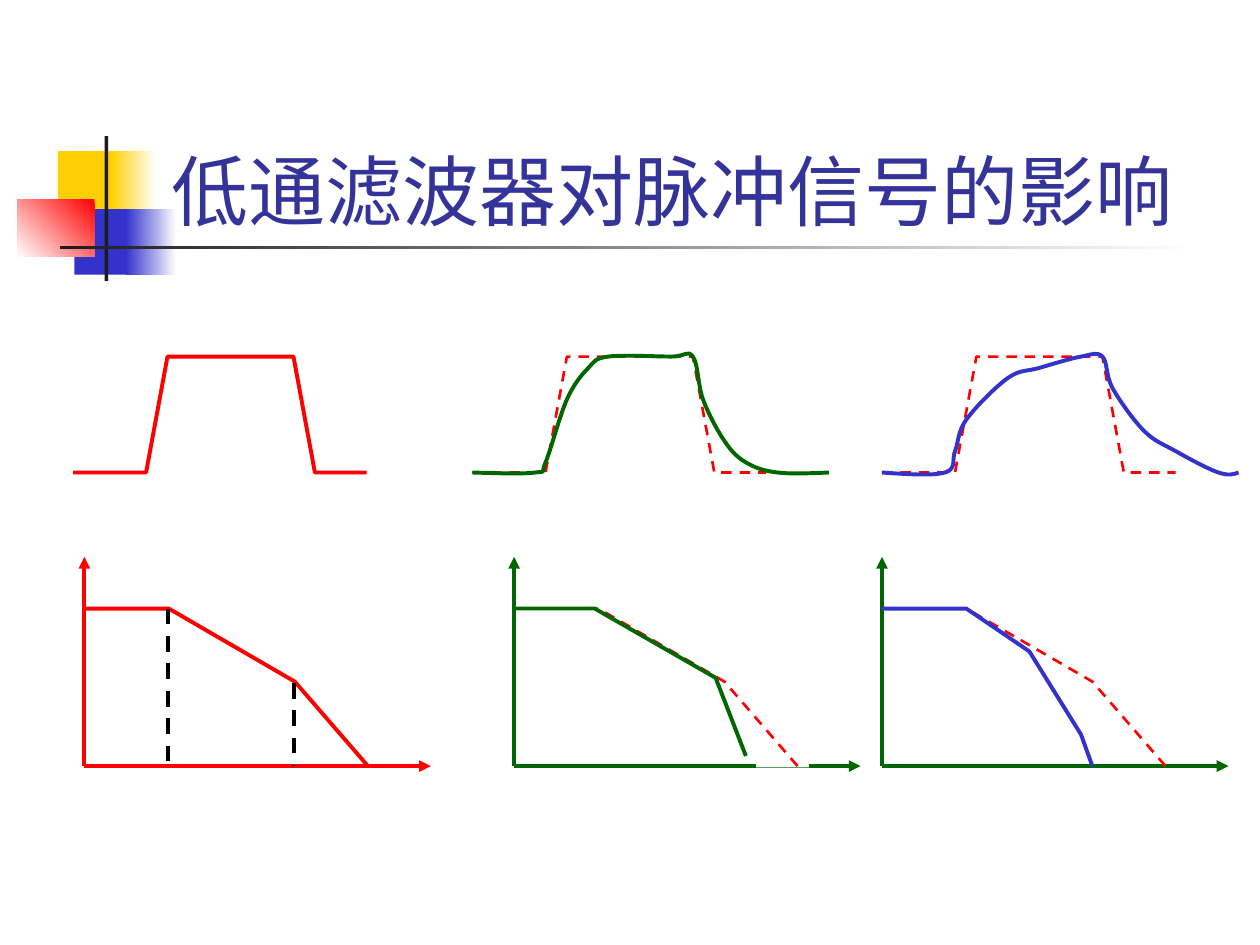
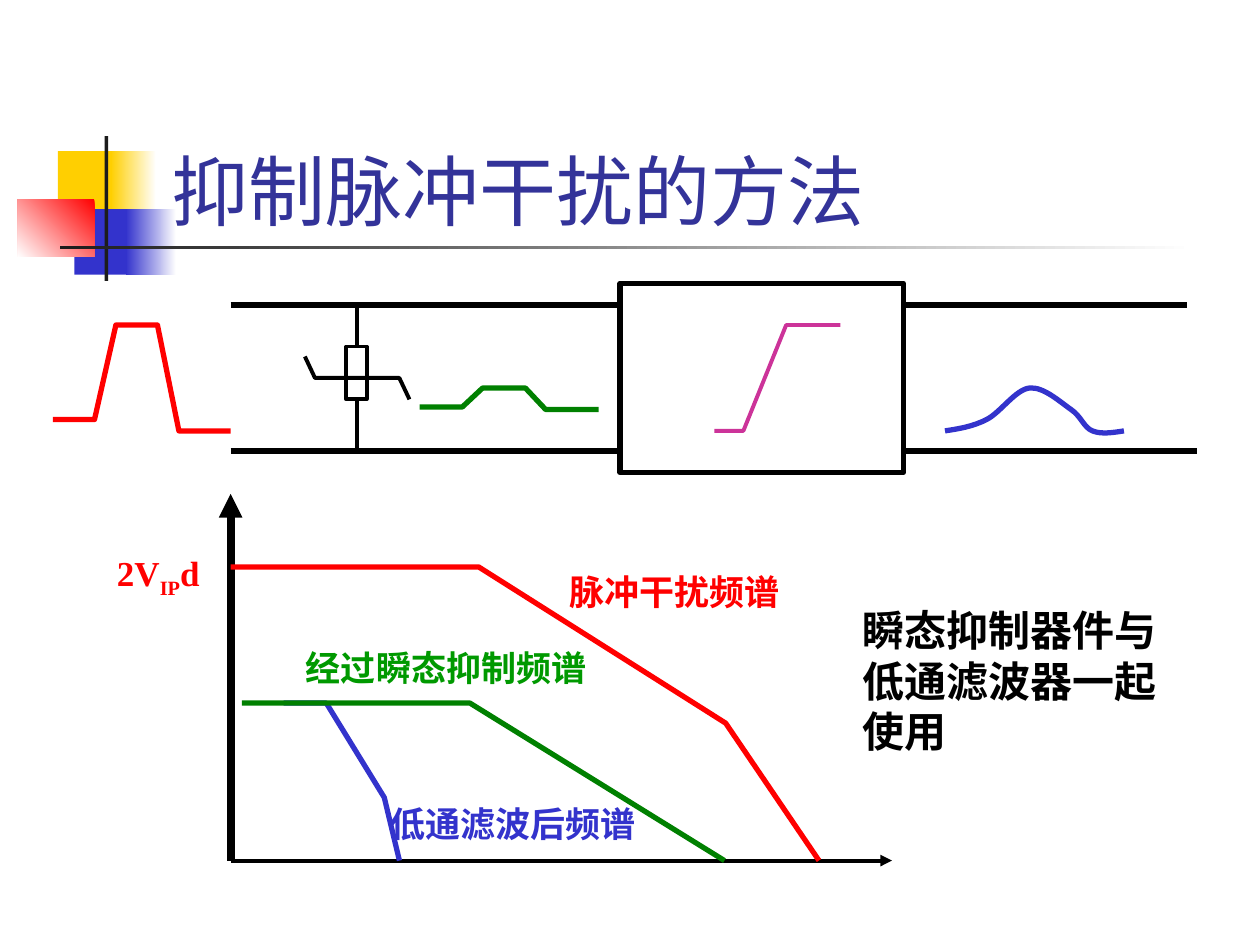
from lxml import etree
from pptx import Presentation
from pptx import util as u
from pptx.dml.color import RGBColor
from pptx.enum import dml, shapes, text
from pptx.oxml.ns import qn

HUES = {
    "black": "000000", "white": "FFFFFF", "ink": "1C1C1C", "title": "333399",
    "gold": "FFCF01", "blue": "3333CC", "red": "FF0000", "pine": "006600",
    "green": "008000", "leaf": "009900", "pink": "CC3399",
}
FONT = "Lato"
TITLES = ["低通滤波器对脉冲信号的影响", "抑制脉冲干扰的方法"]
TITLE_BOX = (1.26, 0.67, 8.52, 1.25)

# Band by the title: box, start hue, end hue (None is solid), clockwise angle
BAND = [
    ((0.46, 1.2, 0.48, 0.52), "gold", None, 0),
    ((0.88, 1.2, 0.36, 0.52), "white", "gold", 180),
    ((0.59, 1.66, 0.46, 0.52), "blue", None, 0),
    ((1, 1.66, 0.4, 0.52), "white", "blue", 180),
    ((0.14, 1.58, 0.61, 0.46), "red", "white", 135),
    ((0.83, 1.08, 0.03, 1.15), "ink", None, 0),
    ((0.48, 1.95, 9, 0.03), "white", "ink", 180),
]

# Slide 1: input pulse and its spectrum, relative to each column's corner
PULSE = [(0, 0.92), (0.58, 0.92), (0.75, 0), (1.75, 0), (1.92, 0.92), (2.33, 0.92)]
SPECTRUM = [(0, 0), (0.67, 0), (1.67, 0.58), (2.25, 1.25)]
PULSE_Y, SPEC_Y, BASE_Y, PEAK_Y = 2.83, 4.83, 6.08, 4.42
AXIS_W = 2.75
COLS = [  # pulse x, spectrum x, axis hue, output hue, output pulse, output spectrum
    (0.58, 0.67, "red", None, [], []),
    (3.75, 4.08, "pine", "pine",
     [(3.75, 3.75), (4.25, 3.75), (4.33, 3.67), (4.5, 3.17), (4.67, 2.92),
      (4.83, 2.83), (5.33, 2.83), (5.5, 2.83), (5.58, 3.17), (5.75, 3.5),
      (5.92, 3.67), (6.17, 3.75), (6.58, 3.75)],
     [(4.08, 4.83), (4.72, 4.83), (5.68, 5.38), (5.92, 6)]),
    (7, 7, "pine", "blue",
     [(7, 3.75), (7.5, 3.75), (7.58, 3.58), (7.67, 3.33), (8, 3), (8.25, 2.92),
      (8.58, 2.83), (8.75, 2.83), (8.83, 3.08), (9.08, 3.42), (9.33, 3.58),
      (9.67, 3.75), (9.83, 3.75)],
     [(7, 4.83), (7.67, 4.83), (8.17, 5.17), (8.58, 5.83), (8.67, 6.08)]),
]
GAP = (6, 5.17, 0.42, 0.92)
CORNERS = [(2.33, 5.42), (1.33, 4.83)]

# Slide 2: circuit, signals, spectra and labels
FILTER = (4.92, 2.25, 2.25, 1.5)
CLAMP = (2.75, 2.75, 0.16, 0.42)
CLAMP_X = 2.83
WIRES = [(2.42, 9.42), (3.58, 9.5)]  # y, right end
WIRE_X = 1.83
SIGNALS = [
    ("black", 2.25, [(2.42, 2.83), (2.5, 3), (3.17, 3), (3.25, 3.17)]),
    ("red", 3, [(0.42, 3.33), (0.75, 3.33), (0.92, 2.58), (1.25, 2.58),
                (1.42, 3.42), (1.83, 3.42)]),
    ("green", 3, [(3.33, 3.23), (3.67, 3.23), (3.83, 3.08), (4.17, 3.08),
                  (4.33, 3.25), (4.75, 3.25)]),
    ("pink", 2.25, [(5.67, 3.42), (5.9, 3.42), (6.24, 2.58), (6.67, 2.58)]),
]
OUTPUT = [(7.5, 3.42), (7.83, 3.33), (8.17, 3.08), (8.5, 3.25), (8.67, 3.42), (8.92, 3.42)]
ORIGIN = (1.83, 6.83)
AXES = [((1.83, 3.92), 4.5), ((7.08, 6.83), 2.25)]
SPECTRA = [
    ("red", [(1.83, 4.5), (3.8, 4.5), (5.76, 5.74), (6.5, 6.83)]),
    ("blue", [(2.25, 5.58), (2.59, 5.58), (3.05, 6.33), (3.11, 6.58), (3.17, 6.83)]),
    ("green", [(1.92, 5.58), (3.73, 5.58), (5.75, 6.83)]),
]
LABELS = [  # box, runs (text, baseline), size, font, hue
    ((0.83, 4.33, 0.92, 0.48), [("2V", 0), ("IP", -25), ("d", 0)], 20, "Times New Roman", "red"),
    ((6.75, 4.75, 2.83, 1.3), [("瞬态抑制器件与低通滤波器一起使用", 0)], 24, FONT, "black"),
    ((4.42, 4.48, 2.17, 0.44), [("脉冲干扰频谱", 0)], 20, FONT, "red"),
    ((2.33, 5.08, 2.58, 0.44), [("经过瞬态抑制频谱", 0)], 20, FONT, "leaf"),
    ((3, 6.32, 2.17, 0.44), [("低通滤波后频谱", 0)], 20, FONT, "blue"),
]


def rgb(hue):
    return RGBColor.from_string(HUES[hue])


def emu(nums):
    return [u.Inches(n) for n in nums]


def shift(pts, x, y):
    return [(x + a, y + b) for a, b in pts]


def ink(line, hue, width, dash=False):
    line.color.rgb = rgb(hue)
    line.width = u.Pt(width)
    if dash:
        line.dash_style = dml.MSO_LINE.DASH


def rect(slide, box, fill="white", width=0):
    shape = slide.shapes.add_shape(shapes.MSO_SHAPE.RECTANGLE, *emu(box))
    shape.shadow.inherit = False
    shape.fill.solid()
    shape.fill.fore_color.rgb = rgb(fill)
    if width:
        ink(shape.line, "black", width)
    else:
        shape.line.fill.background()
    return shape


def wire(slide, start, end, hue, width, dash=False, arrow=False):
    line = slide.shapes.add_connector(shapes.MSO_CONNECTOR.STRAIGHT, *emu(start + end))
    ink(line.line, hue, width, dash)
    if arrow:
        tail = etree.SubElement(line.line._get_or_add_ln(), qn("a:tailEnd"))
        tail.set("type", "triangle")
    etree.SubElement(line._element.spPr, qn("a:effectLst"))
    return line


def trace(slide, pts, hue, width, dash=False):
    pts = [emu(p) for p in pts]
    form = slide.shapes.build_freeform(*pts[0])
    form.add_line_segments(pts[1:], close=False)
    shape = form.convert_to_shape()
    shape.shadow.inherit = False
    shape.fill.background()
    ink(shape.line, hue, width, dash)
    return shape


def mix(p, q, share):
    return tuple(a + (b - a) * share for a, b in zip(p, q))


def curve(slide, pts, hue, width):
    """Trace pts, then bend each segment; handles are a sixth of the neighbours' span."""
    shape = trace(slide, pts, hue, width)
    last = len(pts) - 1
    segs = list(shape._element.iter(qn("a:lnTo")))
    for i, seg in enumerate(segs):
        p, q = pts[i], pts[i + 1]
        out = back = None
        if i > 0:
            out = tuple(c + (b - a) / 6 for a, b, c in zip(pts[i - 1], q, p))
        if i + 1 < last:
            back = tuple(c - (b - a) / 6 for a, b, c in zip(p, pts[i + 2], q))
        out = out or mix(p, back, 0.5)
        back = back or mix(out, q, 0.5)
        seg.tag = qn("a:cubicBezTo")
        for old in list(seg):
            seg.remove(old)
        for x, y in (out, back, q):
            dot = etree.SubElement(seg, qn("a:pt"))
            dot.set("x", str(u.Inches(x) - shape.left))
            dot.set("y", str(u.Inches(y) - shape.top))


def style(para, size, font, hue, bold=False):
    para.alignment = text.PP_ALIGN.LEFT
    para.font.size = u.Pt(size)
    para.font.name = font
    para.font.bold = bold
    para.font.color.rgb = rgb(hue)


def label(slide, box, runs, size, font, hue):
    frame = slide.shapes.add_textbox(*emu(box)).text_frame
    frame.word_wrap = True
    frame.auto_size = text.MSO_AUTO_SIZE.SHAPE_TO_FIT_TEXT
    para = frame.paragraphs[0]
    for words, base in runs:
        run = para.add_run()
        run.text = words
        if base:
            run.font._element.set("baseline", str(base * 1000))
    style(para, size, font, hue, True)


def band(slide, layout):
    """Draw the title band and hand it to the layout, which all slides share."""
    for box, first, second, turn in BAND:
        shape = rect(slide, box, first)
        if second:
            shape.fill.gradient()
            shape.fill.gradient_angle = 360 - turn
            for stop, hue in zip(shape.fill.gradient_stops, (first, second)):
                stop.color.rgb = rgb(hue)
        layout.shapes._spTree.append(shape._element)


def head(slide, words):
    title = slide.shapes.title
    title.left, title.top, title.width, title.height = emu(TITLE_BOX)
    frame = title.text_frame
    frame.text = words
    frame.word_wrap = True
    frame.auto_size = text.MSO_AUTO_SIZE.NONE
    frame.vertical_anchor = text.MSO_ANCHOR.BOTTOM
    style(frame.paragraphs[0], 44, FONT, "title")


def pulses(slide):
    for px, sx, axis, hue, wave, slope in COLS:
        plain = hue is None
        width = 2.25 if plain else 1.5
        for end in ((sx, PEAK_Y), (sx + AXIS_W, BASE_Y)):
            wire(slide, (sx, BASE_Y), end, axis, 2.25, arrow=True)
        if sx < GAP[0] < sx + AXIS_W:
            rect(slide, GAP)
        trace(slide, shift(PULSE, px, PULSE_Y), "red", width, not plain)
        trace(slide, shift(SPECTRUM, sx, SPEC_Y), "red", width, not plain)
        if not plain:
            curve(slide, wave, hue, 2.25)
            trace(slide, slope, hue, 2.25)
    for x, y in CORNERS:
        wire(slide, (x, y), (x, BASE_Y), "black", 2.25, dash=True)


def circuit(slide):
    left, right = FILTER[0], FILTER[0] + FILTER[2]
    rect(slide, FILTER, width=3)
    clamp = rect(slide, CLAMP, width=2.25)
    for (y, end), site in zip(WIRES, (0, 2)):
        wire(slide, (WIRE_X, y), (left, y), "black", 3)
        wire(slide, (right, y), (end, y), "black", 3)
        lead = wire(slide, (CLAMP_X, 3), (CLAMP_X, y), "black", 2.25)
        lead.begin_connect(clamp, site)
    for hue, width, pts in SIGNALS:
        trace(slide, pts, hue, width)
    curve(slide, OUTPUT, "blue", 3)
    for end, width in AXES:
        wire(slide, ORIGIN, end, "black", width, arrow=True)
    for hue, pts in SPECTRA:
        trace(slide, pts, hue, 3)
    for item in LABELS:
        label(slide, *item)


def main():
    prs = Presentation()
    prs.slide_width, prs.slide_height = emu((10, 7.5))
    layout = prs.slide_layouts[5]
    for i, (words, draw) in enumerate(zip(TITLES, (pulses, circuit))):
        slide = prs.slides.add_slide(layout)
        if i == 0:
            band(slide, layout)
        head(slide, words)
        draw(slide)
    prs.save("out.pptx")


if __name__ == "__main__":
    main()
